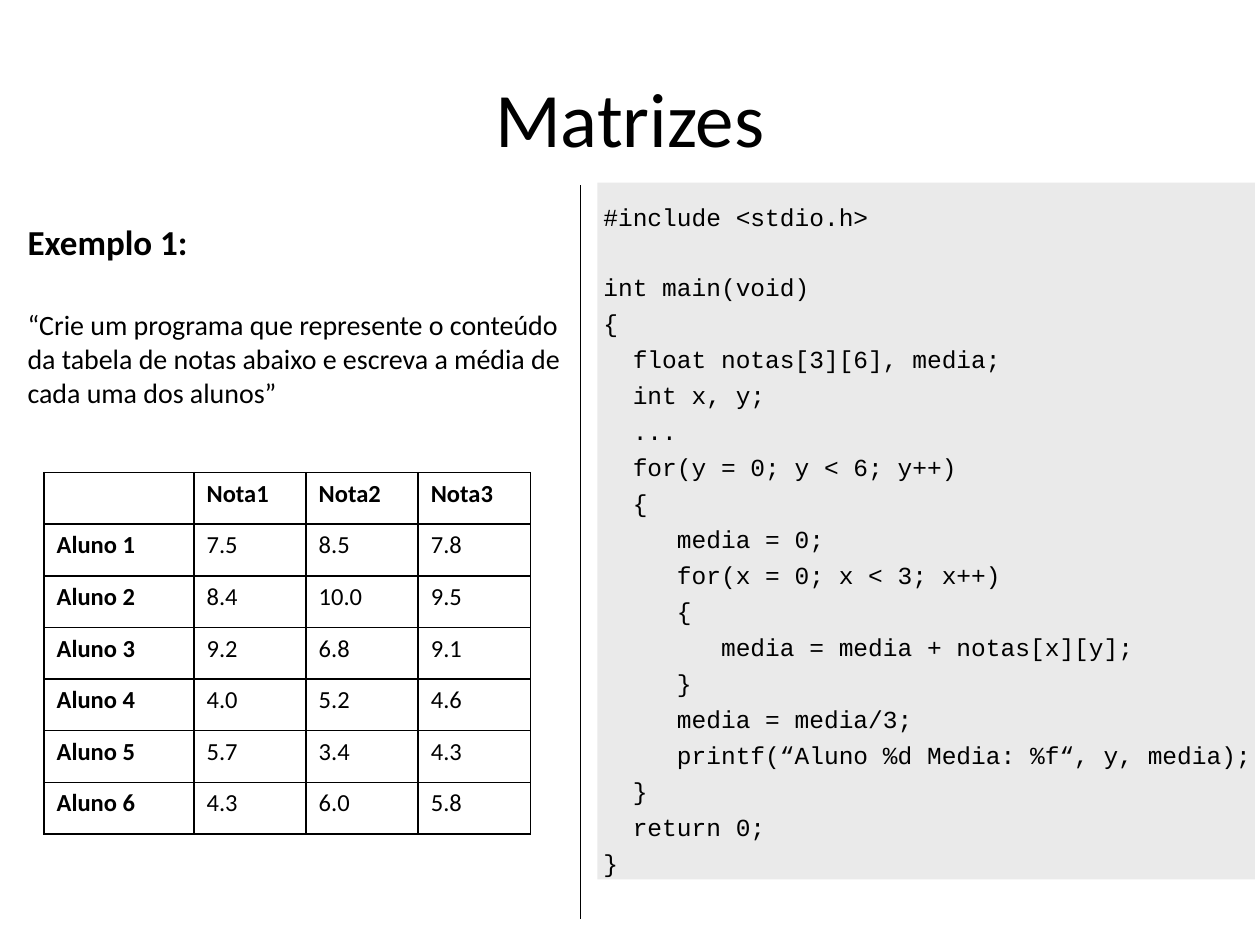
import pptx
import pptx.dml.color
import pptx.enum.shapes
import pptx.enum.text
import pptx.util
from lxml import etree
from pptx.oxml.ns import qn
from pptx.util import Inches

BLACK = "000000"
CODE = """#include <stdio.h>

int main(void)
{
  float notas[3][6], media;
  int x, y;
  ...
  for(y = 0; y < 6; y++)
  {
     media = 0;
     for(x = 0; x < 3; x++)
     {
        media = media + notas[x][y];
     }
     media = media/3;
     printf(“Aluno %d Media: %f“, y, media);
  }
  return 0;
}"""
GRADES = [
    ("7.5", "8.5", "7.8"),
    ("8.4", "10.0", "9.5"),
    ("9.2", "6.8", "9.1"),
    ("4.0", "5.2", "4.6"),
    ("5.7", "3.4", "4.3"),
    ("4.3", "6.0", "5.8"),
]


def rgb(value):
    return pptx.dml.color.RGBColor.from_string(value)


class Deck:
    """Holds the text style and the slide being filled."""

    def __init__(self, slide, font="Calibri", color=BLACK):
        self.slide = slide
        self.font = font
        self.color = color

    def add_run(self, paragraph, text, **formats):
        run = paragraph.add_run()
        run.text = text
        for name, value in ({"name": self.font} | formats).items():
            setattr(run.font, name, value)
        run.font.color.rgb = rgb(self.color)

    def text(self, box, lines, anchor=pptx.enum.text.MSO_ANCHOR.TOP):
        """Add a text box; each line is (text, paragraph formats, font formats)."""
        frame = self.slide.shapes.add_textbox(*map(Inches, box)).text_frame
        frame.word_wrap = True
        frame.vertical_anchor = anchor
        for index, (text, layout, formats) in enumerate(lines):
            paragraph = frame.add_paragraph() if index else frame.paragraphs[0]
            for name, value in layout.items():
                setattr(paragraph, name, value)
            self.add_run(paragraph, text, **formats)

    def panel(self, box, fill):
        panel = self.slide.shapes.add_shape(
            pptx.enum.shapes.MSO_SHAPE.RECTANGLE, *map(Inches, box))
        panel.shadow.inherit = False
        panel.fill.solid()
        panel.fill.fore_color.rgb = rgb(fill)
        panel.line.fill.background()

    def divider(self, start, end):
        divider = self.slide.shapes.add_connector(
            pptx.enum.shapes.MSO_CONNECTOR.STRAIGHT, *map(Inches, start + end))
        divider.line.color.rgb = rgb(self.color)
        divider.line.width = pptx.util.Pt(0.75)
        etree.SubElement(divider._element.spPr, qn("a:effectLst"))

    def border(self, cell):
        properties = cell._tc.get_or_add_tcPr()
        for position, side in enumerate(("lnL", "lnR", "lnT", "lnB")):
            edge = etree.Element(qn(f"a:{side}"), w=str(pptx.util.Pt(1)))
            fill = etree.SubElement(edge, qn("a:solidFill"))
            etree.SubElement(fill, qn("a:srgbClr"), val=self.color)
            properties.insert(position, edge)

    def table(self, left, top, widths, row_height, rows, size):
        """Add a bordered table whose first row and column are bold."""
        table = self.slide.shapes.add_table(
            len(rows), len(widths), Inches(left), Inches(top),
            Inches(sum(widths)), Inches(row_height * len(rows))).table
        for column, width in zip(table.columns, widths):
            column.width = Inches(width)
        for r, row in enumerate(rows):
            for c, value in enumerate(row):
                cell = table.cell(r, c)
                cell.fill.background()
                self.border(cell)
                if value:
                    self.add_run(cell.text_frame.paragraphs[0], value,
                                 size=size, bold=r == 0 or c == 0)


def code_lines(code):
    """Turn each blank source line into extra space before the next line."""
    gap, pitch = 3.76, 19.62
    before = gap
    lines = []
    for line in code.splitlines():
        if not line:
            before += pitch
            continue
        lines.append((line, {"space_before": pptx.util.Pt(before)},
                      {"name": "Courier New", "size": pptx.util.Pt(14)}))
        before = gap
    return lines


def main():
    presentation = pptx.Presentation()
    presentation.slide_width = Inches(10)
    presentation.slide_height = Inches(7.5)
    deck = Deck(presentation.slides.add_slide(presentation.slide_layouts[6]))

    deck.panel((4.74, 1.45, 5.22, 5.53), "EAEAEA")
    deck.text((0.5, 0.3, 9, 1.25),
              [("Matrizes", {"alignment": pptx.enum.text.PP_ALIGN.CENTER},
                {"size": pptx.util.Pt(44)})],
              pptx.enum.text.MSO_ANCHOR.MIDDLE)
    deck.text((4.69, 1.55, 5.59, 4.88), code_lines(CODE))
    deck.text((0.12, 1.7, 4.49, 4.88), [
        ("Exemplo 1:", {"space_before": pptx.util.Pt(4)},
         {"size": pptx.util.Pt(20), "bold": True}),
        ("“Crie um programa que represente o conteúdo da tabela de notas "
         "abaixo e escreva a média de cada uma dos alunos”",
         {"space_before": pptx.util.Pt(26)}, {"size": pptx.util.Pt(16)}),
    ])
    deck.divider((4.61, 1.47), (4.61, 7.29))

    header = ("", "Nota1", "Nota2", "Nota3")
    students = [(f"Aluno {number}", *grades)
                for number, grades in enumerate(GRADES, 1)]
    deck.table(0.35, 3.75, (1.19, 0.89, 0.89, 0.89), 0.41,
               [header, *students], pptx.util.Pt(14))
    presentation.save("out.pptx")


if __name__ == "__main__":
    main()
